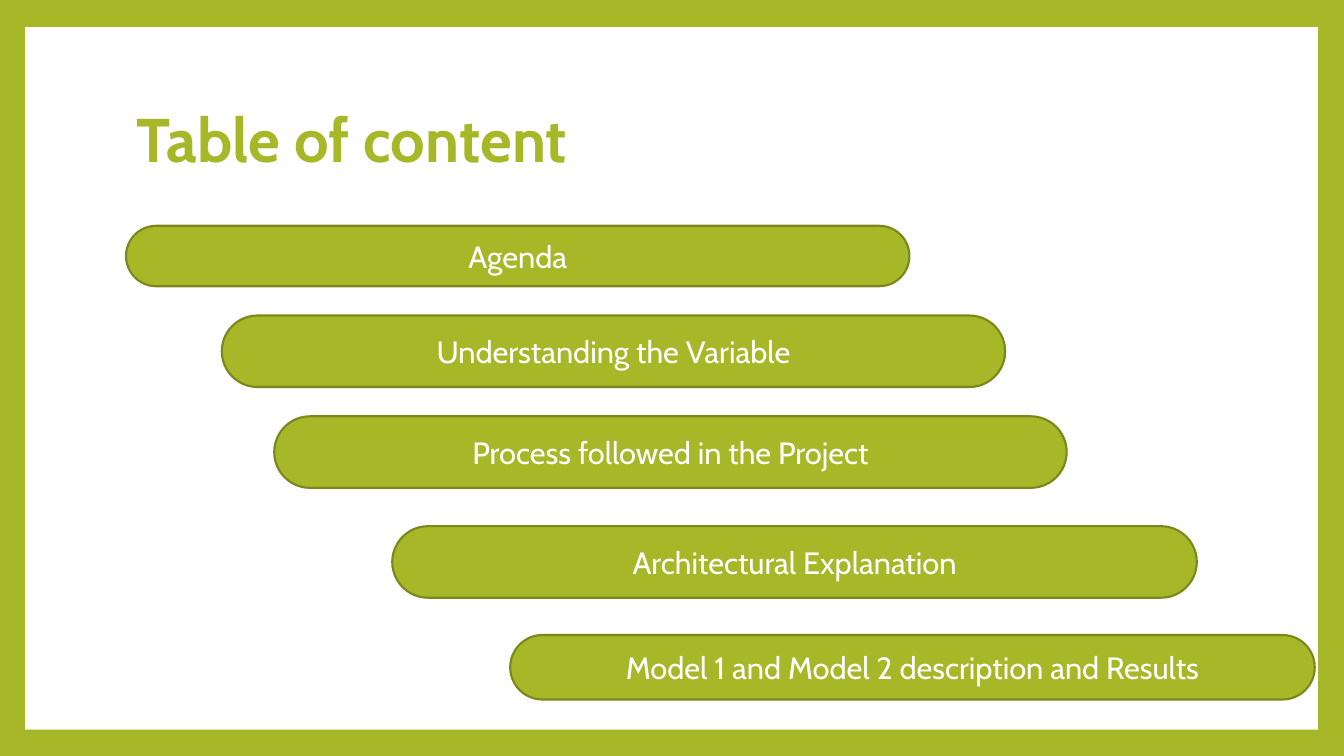
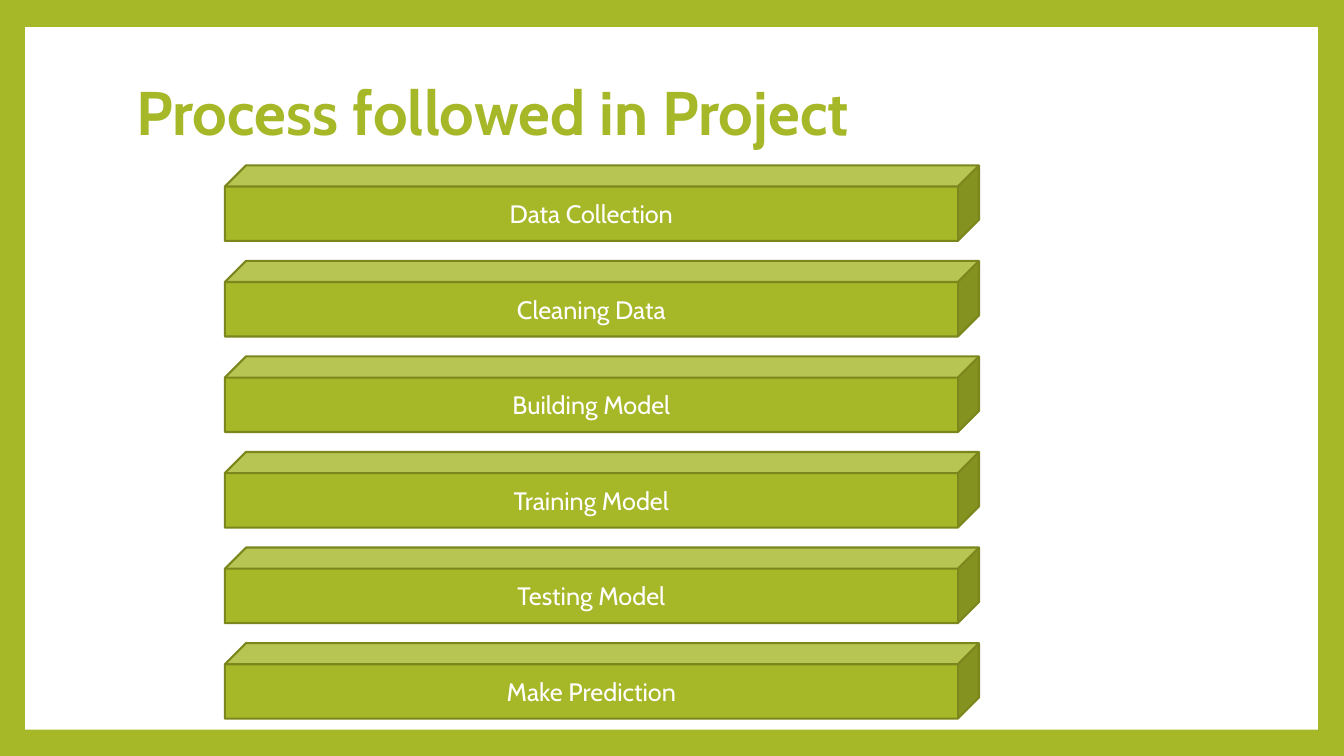
from dataclasses import dataclass

from pptx import Presentation
from pptx.dml.color import RGBColor
from pptx.enum import shapes, text
from pptx.util import Inches, Pt


@dataclass(frozen=True)
class Theme:
    """Colours, font and type sizes."""
    green: RGBColor = RGBColor.from_string("A6B727")
    edge: RGBColor = RGBColor.from_string("7B871D")
    white: RGBColor = RGBColor.from_string("FFFFFF")
    font: str = "Cabin"
    head: int = 44
    item: int = 22
    step: int = 18


class Deck:
    """Holds the style and the current slide."""

    def __init__(self, theme):
        self.theme = theme
        self.prs = Presentation()
        self.prs.slide_width = Inches(13.33)
        self.prs.slide_height = Inches(7.5)
        self.base = self.prs.slide_layouts[5]
        self.slide = None

    def frame(self):
        """Green border and white panel, kept on the shared layout."""
        fill = self.base.background.fill
        fill.solid()
        fill.fore_color.rgb = self.theme.green
        panel = self.shape(shapes.MSO_SHAPE.RECTANGLE,
                           (0.25, 0.27, 12.82, 6.97), self.theme.white)
        panel.line.fill.background()
        panel.element.nvSpPr.cNvPr.id = 99
        self.base.shapes.element.insert(2, panel.element)

    def page(self, title, height):
        """Start a slide and set its title."""
        first = self.slide is None
        self.slide = self.prs.slides.add_slide(self.base)
        if first:
            self.frame()
        box = self.slide.shapes.title
        box.left, box.top = Inches(1.25), Inches(0.67)
        box.width, box.height = Inches(10.8), Inches(height)
        para = self.label(box, title, self.theme.head, self.theme.green,
                          text.PP_ALIGN.LEFT)
        para.line_spacing = 0.9
        para.runs[0].font.bold = True

    def label(self, box, words, size, color, align):
        frame = box.text_frame
        frame.text = words
        frame.word_wrap = True
        frame.vertical_anchor = text.MSO_ANCHOR.MIDDLE
        para = frame.paragraphs[0]
        para.alignment = align
        font = para.runs[0].font
        font.name, font.size = self.theme.font, Pt(size)
        font.color.rgb = color
        return para

    def shape(self, kind, area, color):
        item = self.slide.shapes.add_shape(kind, *map(Inches, area))
        item.shadow.inherit = False
        item.fill.solid()
        item.fill.fore_color.rgb = color
        return item

    def bar(self, kind, area, words, size, adjust):
        """Outlined green shape with a centred label."""
        item = self.shape(kind, area, self.theme.green)
        item.line.color.rgb = self.theme.edge
        item.line.width = Pt(1.5)
        for num, value in enumerate(adjust):
            item.adjustments[num] = value
        self.label(item, words, size, self.theme.white, text.PP_ALIGN.CENTER)

    def pill(self, area, words):
        self.bar(shapes.MSO_SHAPE.ROUND_2_DIAG_RECTANGLE, area, words,
                 self.theme.item, (0.5, 0.5))

    def cube(self, area, words):
        self.bar(shapes.MSO_SHAPE.CUBE, area, words, self.theme.step, (0.28,))


def main():
    deck = Deck(Theme())

    # Table of content: staggered pills
    deck.page("Table of content", 1.48)
    for words, area in (
        ("Agenda", (1.25, 2.24, 7.77, 0.6)),
        ("Understanding the Variable", (2.2, 3.13, 7.77, 0.71)),
        ("Process followed in the Project", (2.72, 4.13, 7.86, 0.71)),
        ("Architectural Explanation", (3.89, 5.22, 7.98, 0.71)),
        ("Model 1 and Model 2 description and Results",
         (5.06, 6.3, 7.98, 0.64)),
    ):
        deck.pill(area, words)

    # Process: evenly stacked cubes
    deck.page("Process followed in Project", 0.96)
    steps = ("Data Collection", "Cleaning Data", "Building Model",
             "Training Model", "Testing Model", "Make Prediction")
    first, last = 1.64, 6.38
    pitch = (last - first) / (len(steps) - 1)
    for num, words in enumerate(steps):
        deck.cube((2.23, first + num * pitch, 7.48, 0.75), words)

    deck.prs.save("out.pptx")


if __name__ == "__main__":
    main()
